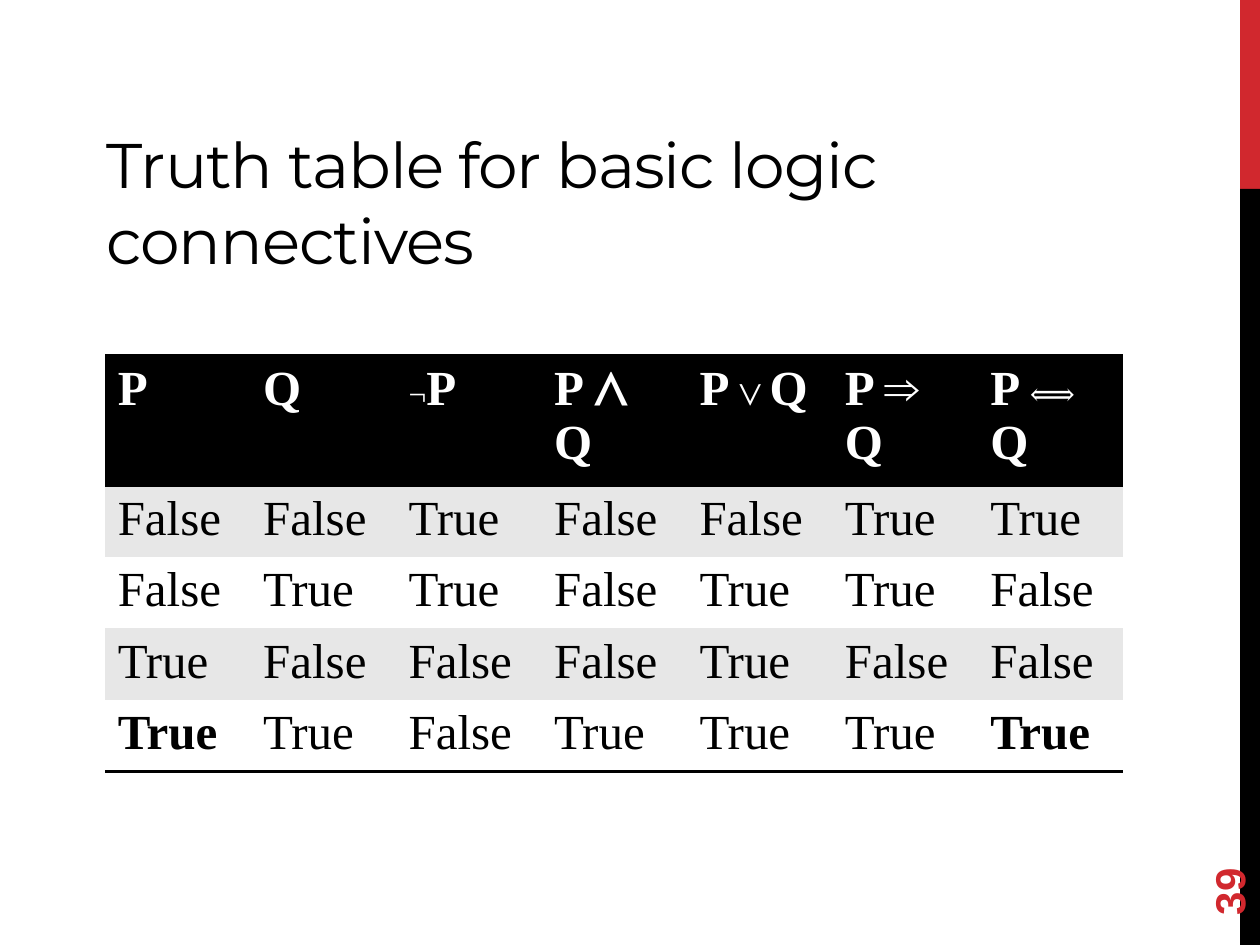
from lxml.etree import SubElement
from pptx import Presentation
from pptx.dml.color import RGBColor
from pptx.enum.shapes import MSO_SHAPE
from pptx.enum.text import MSO_ANCHOR
from pptx.oxml.ns import qn
from pptx.util import Cm, Pt

COLORS = {"red": "D1282E", "black": "000000", "white": "FFFFFF", "band": "E7E7E7"}

# Header cells are lists of (text, size) runs; the small symbols are not bold
LARGE, SMALL = 28, 18
HEADER = [
    [("P", LARGE)],
    [("Q", LARGE)],
    [("¬", SMALL), ("P", LARGE)],
    [("P ⋀ Q", LARGE)],
    [("P ", LARGE), ("⋁ ", SMALL), ("Q", LARGE)],
    [("P ⇒ Q", LARGE)],
    [("P ", LARGE), ("⟺ ", SMALL), ("Q", LARGE)],
]
TRUTH_VALUES = ["FFTFFTT", "FTTFTTF", "TFFFTFF", "TTFTTTT"]
WORDS = {"T": "True", "F": "False"}


def color(name):
    return RGBColor.from_string(COLORS[name])


def add_run(paragraph, text, size, font_name, color_name, bold=False):
    run = paragraph.add_run()
    run.text = text
    run.font.size = Pt(size)
    run.font.name = font_name
    run.font.bold = bold
    run.font.color.rgb = color(color_name)
    return run


def add_bar(slide, top, height, color_name):
    shape = slide.shapes.add_shape(
        MSO_SHAPE.RECTANGLE, Cm(25), Cm(top), Cm(0.4), Cm(height))
    shape.shadow.inherit = False
    shape.fill.solid()
    shape.fill.fore_color.rgb = color(color_name)
    shape.line.fill.background()


def add_text_box(slide, left, top, width, height, anchor):
    shape = slide.shapes.add_textbox(Cm(left), Cm(top), Cm(width), Cm(height))
    shape.text_frame.word_wrap = True
    shape.text_frame.vertical_anchor = anchor
    return shape


def set_borders(cell, visible_sides):
    """Draw 2 pt black lines on the given sides and none on the others."""
    properties = cell._tc.get_or_add_tcPr()
    for position, side in enumerate(("L", "R", "T", "B")):
        line = properties.makeelement(qn(f"a:ln{side}"), {"w": str(Pt(2))})
        properties.insert(position, line)
        if side in visible_sides:
            fill = SubElement(line, qn("a:solidFill"))
            SubElement(fill, qn("a:srgbClr"), val=COLORS["black"])
        else:
            SubElement(line, qn("a:noFill"))


def fill_cell(cell, runs, fill_name, text_name, bold, visible_sides):
    cell.fill.solid()
    cell.fill.fore_color.rgb = color(fill_name)
    set_borders(cell, visible_sides)
    paragraph = cell.text_frame.paragraphs[0]
    for text, size in runs:
        add_run(paragraph, text, size, "Times New Roman", text_name,
                bold and size == LARGE)


def add_truth_table(slide):
    row_count, column_count = len(TRUTH_VALUES) + 1, len(HEADER)
    table = slide.shapes.add_table(
        row_count, column_count, Cm(2.12), Cm(7.16), Cm(20.53), Cm(6.77)).table
    for column, runs in enumerate(HEADER):
        fill_cell(table.cell(0, column), runs, "black", "white", True, "TB")
    for row, values in enumerate(TRUTH_VALUES, start=1):
        is_last = row == row_count - 1
        for column, value in enumerate(values):
            fill_cell(
                table.cell(row, column),
                [(WORDS[value], LARGE)],
                "band" if row % 2 else "white",
                "black",
                is_last and column in (0, column_count - 1),
                "T" if row == 1 else "B" if is_last else "")


def add_title(slide, text):
    shape = add_text_box(slide, 1.9, 1.9, 19.48, 3.81, MSO_ANCHOR.BOTTOM)
    run = add_run(shape.text_frame.paragraphs[0], text, 36, "Montserrat", "black")
    run.font._element.set("spc", "-60")


def add_slide_number(slide, text):
    shape = add_text_box(slide, 22.71, 16.36, 3.66, 1.02, MSO_ANCHOR.TOP)
    shape.rotation = 270
    shape.text_frame.margin_top = Cm(0.23)
    shape.text_frame.margin_bottom = 0
    add_run(shape.text_frame.paragraphs[0], text, 24, "Arial", "red", bold=True)


def main():
    presentation = Presentation()
    presentation.slide_width, presentation.slide_height = Cm(25.4), Cm(19.05)
    slide = presentation.slides.add_slide(presentation.slide_layouts[6])

    # Side bars
    add_bar(slide, 0, 3.81, "red")
    add_bar(slide, 3.81, 15.24, "black")

    # Content
    add_title(slide, "Truth table for basic logic connectives")
    add_truth_table(slide)
    add_slide_number(slide, "39")

    presentation.save("out.pptx")


if __name__ == "__main__":
    main()
